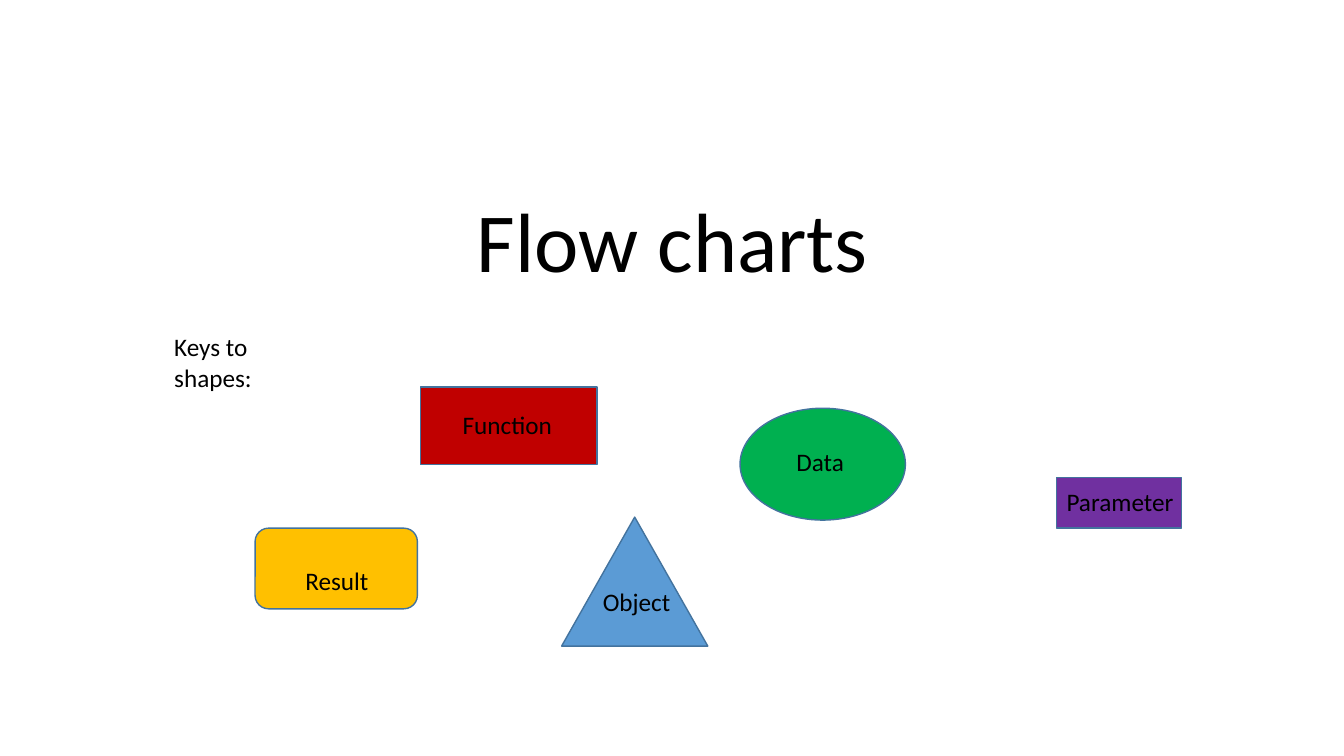
from pptx import Presentation
from pptx.dml.color import RGBColor
from pptx.enum.shapes import MSO_SHAPE as Shape
from pptx.enum.text import MSO_ANCHOR as Anchor, MSO_AUTO_SIZE as AutoSize, PP_ALIGN as Align
from pptx.util import Inches, Pt

COLORS = {
    "text": "000000",
    "outline": "43739E",
    "function": "C00000",
    "data": "00B050",
    "result": "FFC000",
    "object": "5B9BD5",
    "parameter": "7030A0",
}

# Preset, colour, shape box, label, label box
KEYS = [
    (Shape.RECTANGLE, "parameter", (10.48, 4.74, 1.24, 0.5), "Parameter", (10.48, 4.78, 2.23, 0.4)),
    (Shape.RECTANGLE, "function", (4.17, 3.84, 1.75, 0.77), "Function", (4.49, 4.01, 1.35, 0.4)),
    (Shape.OVAL, "data", (7.34, 4.05, 1.64, 1.11), "Data", (7.8, 4.38, 0.86, 0.4)),
    (Shape.ROUNDED_RECTANGLE, "result", (2.53, 5.24, 1.61, 0.8), "Result", (2.93, 5.56, 0.95, 0.4)),
    (Shape.ISOSCELES_TRIANGLE, "object", (5.57, 5.13, 1.45, 1.28), "Object", (5.88, 5.77, 0.98, 0.4)),
]


def color(name):
    return RGBColor.from_string(COLORS[name])


def inches(box):
    return [Inches(length) for length in box]


def format_paragraph(paragraph, size):
    paragraph.font.name = "Calibri"
    paragraph.font.size = Pt(size)
    paragraph.font.color.rgb = color("text")


def set_title(slide, text):
    title = slide.shapes.title
    title.left, title.top, title.width, title.height = inches((1.67, 1.23, 10, 2.61))
    frame = title.text_frame
    frame.text = text
    frame.word_wrap = True
    frame.auto_size = AutoSize.NONE
    frame.vertical_anchor = Anchor.BOTTOM
    frame.margin_bottom = Inches(0.96)
    paragraph = frame.paragraphs[0]
    paragraph.alignment = Align.CENTER
    paragraph.line_spacing = 0.9
    format_paragraph(paragraph, 60)


def add_label(slide, text, box):
    frame = slide.shapes.add_textbox(*inches(box)).text_frame
    frame.text = text
    frame.word_wrap = True
    frame.auto_size = AutoSize.SHAPE_TO_FIT_TEXT
    format_paragraph(frame.paragraphs[0], 18)


def add_key_shape(slide, preset, fill, box):
    shape = slide.shapes.add_shape(preset, *inches(box))
    shape.shadow.inherit = False
    shape.fill.solid()
    shape.fill.fore_color.rgb = color(fill)
    shape.line.color.rgb = color("outline")
    shape.line.width = Pt(1)


def main():
    presentation = Presentation()
    presentation.slide_width = Inches(13.33)
    presentation.slide_height = Inches(7.5)
    slide = presentation.slides.add_slide(presentation.slide_layouts[0])
    subtitle = slide.placeholders[1].element
    subtitle.getparent().remove(subtitle)

    set_title(slide, "Flow charts")
    add_label(slide, "Keys to shapes:", (1.63, 3.24, 1.63, 0.71))
    for preset, fill, shape_box, label, label_box in KEYS:
        add_key_shape(slide, preset, fill, shape_box)
        add_label(slide, label, label_box)
    presentation.save("out.pptx")


if __name__ == "__main__":
    main()
